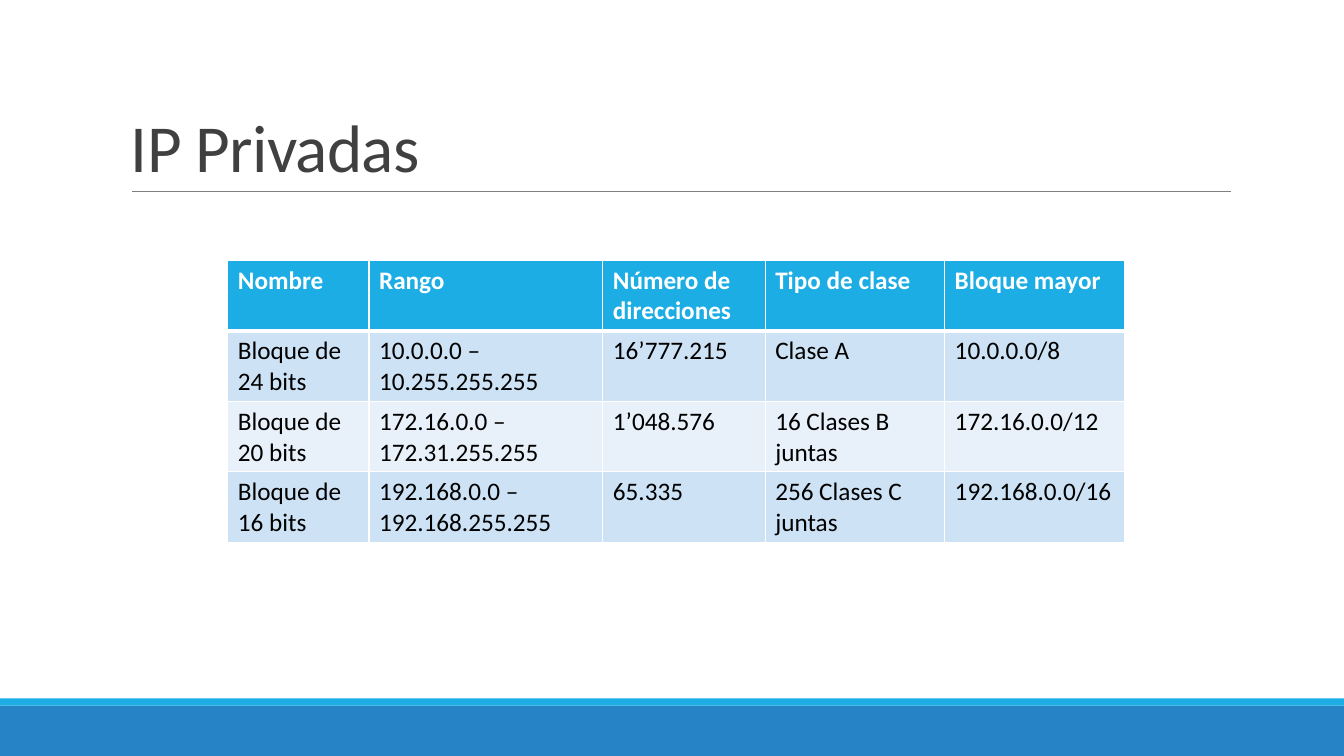
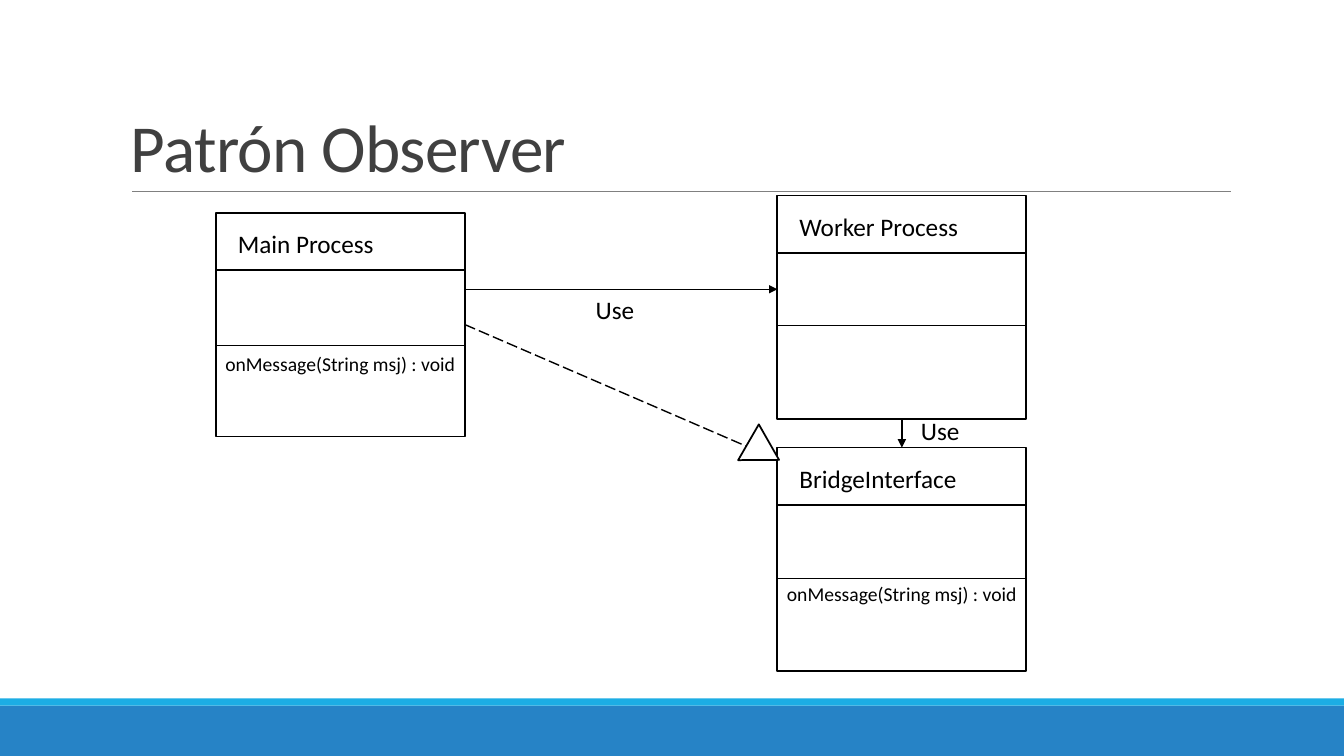
from pptx import Presentation
from pptx.util import Inches, Pt
from pptx.dml.color import RGBColor
from pptx.enum.dml import MSO_LINE
from pptx.enum.shapes import MSO_CONNECTOR, MSO_SHAPE
from pptx.enum.text import MSO_ANCHOR, PP_ALIGN
from lxml import etree

RECT, TRIANGLE = MSO_SHAPE.RECTANGLE, MSO_SHAPE.ISOSCELES_TRIANGLE
STRAIGHT, DASH = MSO_CONNECTOR.STRAIGHT, MSO_LINE.LONG_DASH
LEFT, CENTER = PP_ALIGN.LEFT, PP_ALIGN.CENTER
TOP, BOTTOM = MSO_ANCHOR.TOP, MSO_ANCHOR.BOTTOM
NS = "http://schemas.openxmlformats.org/drawingml/2006/main"
A = "{" + NS + "}"
FONT = "Calibri"
W, H = 13.33, 7.5
HEX = {"band": "2683C6", "accent": "1CADE4", "rule": "808080", "title": "404040",
       "black": "000000", "white": "FFFFFF", "odd": "CDE3F5", "even": "E8F1FA"}
COLORS = {name: RGBColor.from_string(value) for name, value in HEX.items()}


def add_text(s, x, y, w, h, text, size=18, color="black", align=LEFT, anchor=TOP):
    tf = s.shapes.add_textbox(Inches(x), Inches(y), Inches(w), Inches(h)).text_frame
    tf.word_wrap = True
    tf.vertical_anchor = anchor
    p = tf.paragraphs[0]
    p.alignment = align
    r = p.add_run()
    r.text = text
    r.font.name, r.font.size = FONT, Pt(size)
    r.font.color.rgb = COLORS[color]
    return p


def add_line(s, x1, y1, x2, y2, color="black", width=1, arrow=False):
    line = s.shapes.add_connector(STRAIGHT, Inches(x1), Inches(y1), Inches(x2), Inches(y2))
    line.line.color.rgb = COLORS[color]
    line.line.width = Pt(width)
    if arrow:
        etree.SubElement(line.line._get_or_add_ln(), A + "tailEnd", type="triangle")
    etree.SubElement(line._element.spPr, A + "effectLst")
    return line


prs = Presentation()
prs.slide_width, prs.slide_height = Inches(W), Inches(H)

# Shared bands, rule and title
slides = []
for title in ("IP Privadas", "Patrón Observer"):
    s = prs.slides.add_slide(prs.slide_layouts[6])
    for top, height, color in ((7, 0.5, "band"), (6.93, 0.07, "accent")):
        band = s.shapes.add_shape(RECT, 0, Inches(top), prs.slide_width, Inches(height))
        band.shadow.inherit = False
        band.fill.solid()
        band.fill.fore_color.rgb = COLORS[color]
        band.line.fill.background()
    add_line(s, 1.31, 1.9, 12.21, 1.9, "rule", 0.5)
    p = add_text(s, 1.2, 0.31, 11, 1.59, title, 48, "title", anchor=BOTTOM)
    p.line_spacing = 0.85
    p.runs[0].font._element.set("spc", "-50")
    slides.append(s)
ip_slide, observer_slide = slides

# Table of private address blocks; a line break starts a paragraph
rows = [
    ("Nombre", "Rango", "Número de direcciones", "Tipo de clase", "Bloque mayor"),
    ("Bloque de \n24 bits", "10.0.0.0 – \n10.255.255.255", "16’777.215", "Clase A",
     "10.0.0.0/8"),
    ("Bloque de 20 bits", "172.16.0.0 – \n172.31.255.255", "1’048.576",
     "16 Clases B juntas", "172.16.0.0/12"),
    ("Bloque de 16 bits", "192.168.0.0 – \n192.168.255.255", "65.335",
     "256 Clases C juntas", "192.168.0.0/16"),
]
col_widths = (1.4, 2.32, 1.61, 1.78, 1.78)
table = ip_slide.shapes.add_table(len(rows), len(col_widths), Inches(2.26), Inches(2.58),
                                  Inches(sum(col_widths)), Inches(2.8)).table
table.horz_banding = False
for column, width in zip(table.columns, col_widths):
    column.width = Inches(width)
for i, row in enumerate(rows):
    header = i == 0
    for j, text in enumerate(row):
        cell = table.cell(i, j)
        cell.fill.solid()
        cell.fill.fore_color.rgb = COLORS["accent" if header else "odd" if i % 2 else "even"]
        tf = cell.text_frame
        for k, part in enumerate(text.split("\n")):
            p = tf.add_paragraph() if k else tf.paragraphs[0]
            r = p.add_run()
            r.text = part
            r.font.name, r.font.size, r.font.bold = FONT, Pt(18), header
            r.font.color.rgb = COLORS["white" if header else "black"]
        # White borders, thicker under the header
        tcPr = cell._tc.get_or_add_tcPr()
        for k, side in enumerate(("lnL", "lnR", "lnT", "lnB")):
            thick = (header and side == "lnB") or (i == 1 and side == "lnT")
            ln = etree.Element(A + side, w=str(Pt(3 if thick else 1)))
            fill = etree.SubElement(ln, A + "solidFill")
            etree.SubElement(fill, A + "srgbClr", val=HEX["white"])
            tcPr.insert(k, ln)

# Class boxes: name, left, top, offset of the second divider, offset of the method
s = observer_slide
BOX_W, BOX_H, NAME_H = 2.47, 2.22, 0.57
MAIN_X, RIGHT_X = 2.14, 7.71
MAIN_Y, WORKER_Y, BRIDGE_Y = 2.11, 1.94, 4.44
classes = (("Main Process", MAIN_X, MAIN_Y, 1.32, 1.33),
           ("Worker Process", RIGHT_X, WORKER_Y, 1.29, None),
           ("BridgeInterface", RIGHT_X, BRIDGE_Y, 1.3, 1.28))
outlined = []
for name, x, y, divider, method in classes:
    outlined.append(s.shapes.add_shape(RECT, Inches(x), Inches(y), Inches(BOX_W), Inches(BOX_H)))
    for offset in (divider, NAME_H):
        add_line(s, x, y + offset, x + BOX_W, y + offset)
    add_text(s, x + 0.12, y + 0.11, 2.58, 0.4, name)
    if method:
        add_text(s, x - 0.12, y + method, 2.71, 0.34, "onMessage(String msj) : void",
                 14, align=CENTER)

# Relations between the classes
main_right, right_mid = MAIN_X + BOX_W, RIGHT_X + BOX_W / 2
add_line(s, main_right, 2.87, RIGHT_X, 2.87, arrow=True)
realization = add_line(s, main_right, 3.22, RIGHT_X, 4.56, arrow=True)
realization.line.dash_style = DASH
head = s.shapes.add_shape(TRIANGLE, Inches(7.37), Inches(4.3), Inches(0.41), Inches(0.35))
head.rotation = 120
outlined.append(head)
add_line(s, right_mid, WORKER_Y + BOX_H, right_mid, BRIDGE_Y, arrow=True)
for x, y in ((5.72, 2.87), (right_mid, 4.07)):
    add_text(s, x, y, 0.76, 0.4, "Use", align=CENTER)

# White fill and black outline
for shape in outlined:
    shape.shadow.inherit = False
    shape.fill.solid()
    shape.fill.fore_color.rgb = COLORS["white"]
    shape.line.color.rgb = COLORS["black"]
    shape.line.width = Pt(1.25)

prs.save("out.pptx")
